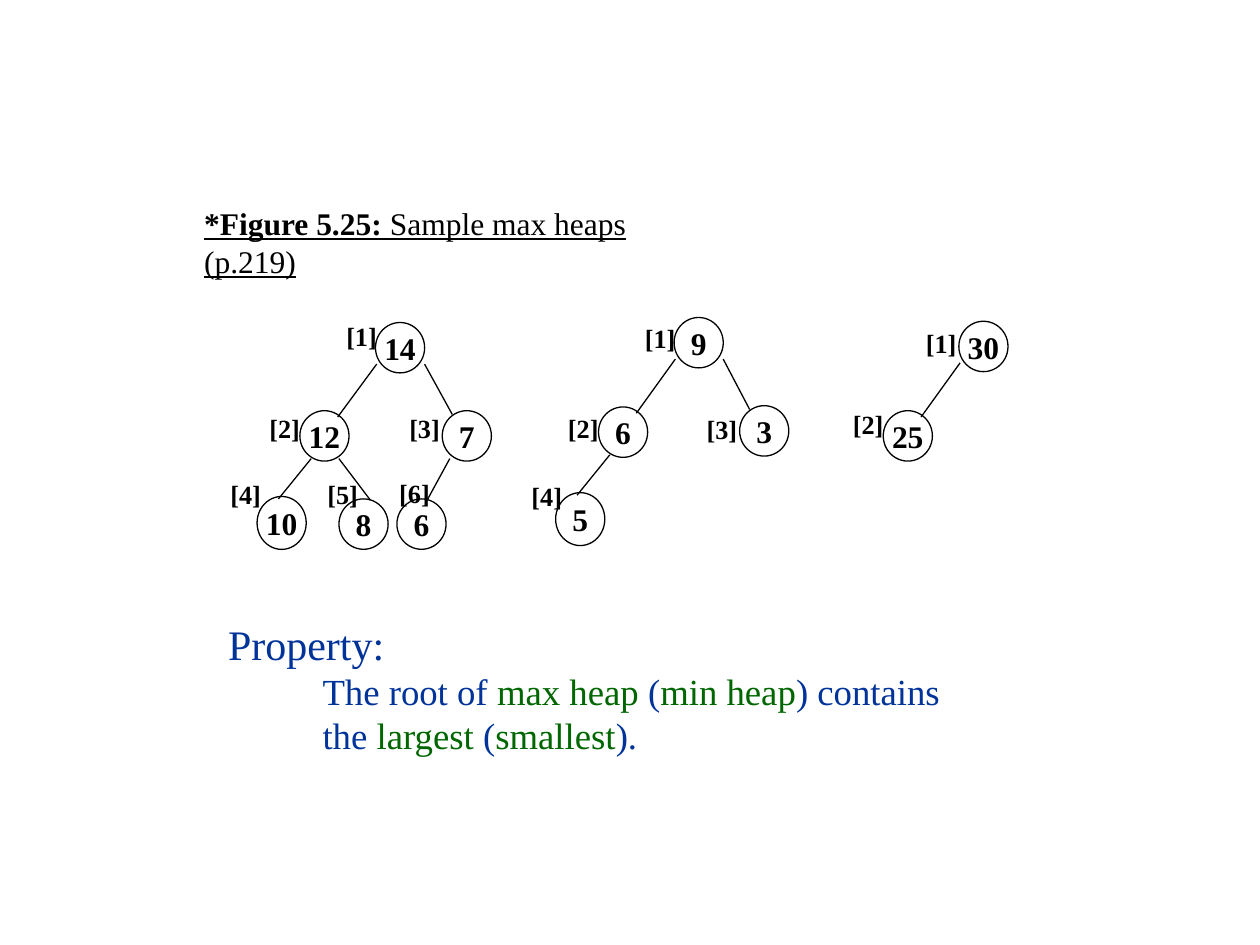
from dataclasses import dataclass

from lxml.etree import SubElement
from pptx import Presentation
from pptx.dml.color import RGBColor
from pptx.enum.shapes import MSO_CONNECTOR, MSO_SHAPE
from pptx.enum.text import MSO_ANCHOR, MSO_AUTO_SIZE, PP_ALIGN
from pptx.oxml.ns import qn
from pptx.util import Inches, Pt

COLOURS = {"ink": "000000", "statement": "003399", "term": "006600"}
NODE_WIDTH, NODE_HEIGHT, LEAF_HEIGHT = 0.39, 0.4, 0.42
LABEL_SIZE = (0.44, 0.35)
NODE_TEXT = {"size": Pt(18), "bold": True}
LABEL_TEXT = {"size": Pt(15), "bold": True}
EDGES = {
    "left": ((0.01, 0.33), (0.3, 0.05)),
    "right": ((0.39, 0.33), (0.08, 0.03)),
    "left leaf": ((0.09, 0.38), (0.17, 0.02)),
    "right leaf": ((0.31, 0.38), (0.25, 0.01)),
    "steep leaf": ((0.06, 0.38), (0.24, 0.01)),
}


@dataclass
class Node:
    """A heap entry, placed from its root, with its label placed from itself."""
    value: str
    index: int
    offset: tuple
    label_offset: tuple
    edge: str = ""


HEAPS = [
    ((2.98, 2.56), [
        Node("14", 1, (0, 0), (-0.33, -0.07)),
        Node("12", 2, (-0.6, 0.7), (-0.34, -0.04), "left"),
        Node("7", 3, (0.53, 0.7), (-0.36, -0.04), "right"),
        Node("10", 4, (-0.94, 1.38), (-0.31, -0.19), "left leaf"),
        Node("8", 5, (-0.29, 1.4), (-0.19, -0.21), "right leaf"),
        Node("6", 6, (0.17, 1.4), (-0.08, -0.22), "steep leaf"),
    ]),
    ((5.35, 2.52), [
        Node("9", 1, (0, 0), (-0.33, -0.01)),
        Node("6", 2, (-0.6, 0.71), (-0.34, -0.01), "left"),
        Node("3", 3, (0.52, 0.7), (-0.36, 0.01), "right"),
        Node("5", 4, (-0.94, 1.39), (-0.29, -0.15), "left leaf"),
    ]),
    ((7.61, 2.55), [
        Node("30", 1, (0, 0), (-0.36, 0)),
        Node("25", 2, (-0.6, 0.71), (-0.34, -0.07), "left"),
    ]),
]

PROPERTY_LINES = [
    (0, 24, [("Property:", "statement")]),
    (0.75, 21, [("The root of ", "statement"), ("max heap", "term"),
                (" (", "statement"), ("min heap", "term"),
                (") contains", "statement")]),
    (0.75, 21, [("the ", "statement"), ("largest", "term"),
                (" (", "statement"), ("smallest", "term"),
                (").", "statement")]),
]


def colour(name):
    """Return the named colour."""
    return RGBColor.from_string(COLOURS[name])


def shift(point, offset):
    """Return a point moved by an offset."""
    return point[0] + offset[0], point[1] + offset[1]


def add_run(paragraph, text, formats, colour_name="ink"):
    """Add a run and apply its font values."""
    run = paragraph.add_run()
    run.text = text
    for name, value in {"name": "Times New Roman", **formats}.items():
        setattr(run.font, name, value)
    run.font.color.rgb = colour(colour_name)


def set_frame(shape, anchor=MSO_ANCHOR.TOP):
    """Give a shape's text an unwrapped frame and return the frame."""
    formats = {"word_wrap": False, "auto_size": MSO_AUTO_SIZE.NONE,
               "vertical_anchor": anchor}
    for name, value in formats.items():
        setattr(shape.text_frame, name, value)
    return shape.text_frame


def place(shape, box):
    """Move a placeholder to a box given in inches."""
    for name, value in zip(("left", "top", "width", "height"), box):
        setattr(shape, name, Inches(value))


def add_node(group, node, position):
    """Draw a circled value and its index label."""
    height = LEAF_HEIGHT if node.edge == "left leaf" else NODE_HEIGHT
    circle = group.shapes.add_shape(
        MSO_SHAPE.OVAL, *map(Inches, (*position, NODE_WIDTH, height)))
    circle.shadow.inherit = False
    circle.fill.background()
    circle.line.color.rgb = colour("ink")
    circle.line.width = Pt(0.75)
    paragraph = set_frame(circle, MSO_ANCHOR.MIDDLE).paragraphs[0]
    paragraph.alignment = PP_ALIGN.CENTER
    add_run(paragraph, node.value, NODE_TEXT)

    corner = shift(position, node.label_offset)
    label = group.shapes.add_textbox(*map(Inches, (*corner, *LABEL_SIZE)))
    add_run(set_frame(label).paragraphs[0], f"[{node.index}]", LABEL_TEXT)


def add_edge(group, parent, child, kind):
    """Join a parent to its child with a plain line."""
    start, end = EDGES[kind]
    ends = (*shift(parent, start), *shift(child, end))
    line = group.shapes.add_connector(MSO_CONNECTOR.STRAIGHT, *map(Inches, ends))
    line.line.color.rgb = colour("ink")
    line.line.width = Pt(0.75)
    SubElement(line._element.spPr, qn("a:effectLst"))


def add_heap(slide, root, nodes):
    """Draw one heap, grouped, from the corner of its root."""
    group = slide.shapes.add_group_shape()
    positions = {node.index: shift(root, node.offset) for node in nodes}
    for node in nodes:
        position = positions[node.index]
        add_node(group, node, position)
        if node.edge:
            add_edge(group, positions[node.index // 2], position, node.edge)


def add_caption(title, box):
    """Write the underlined figure caption in the title."""
    place(title, box)
    paragraph = set_frame(title).paragraphs[0]
    paragraph.alignment = PP_ALIGN.LEFT
    for text, bold in (("*Figure 5.25:", True),
                       (" Sample max heaps (p.219)", False)):
        add_run(paragraph, text,
                {"size": Pt(18), "bold": bold, "underline": True})


def add_property(body, box):
    """Write the heap property in the body, without bullets."""
    place(body, box)
    frame = set_frame(body)
    for number, (indent, size, runs) in enumerate(PROPERTY_LINES):
        paragraph = frame.add_paragraph() if number else frame.paragraphs[0]
        properties = paragraph._p.get_or_add_pPr()
        properties.set("marL", str(Inches(indent)))
        properties.set("indent", "0")
        SubElement(properties, qn("a:buNone"))
        paragraph.space_before = Pt(0)
        for text, colour_name in runs:
            add_run(paragraph, text, {"size": Pt(size)}, colour_name)


def main():
    """Build and save the slide."""
    presentation = Presentation()
    presentation.slide_width = Inches(10)
    presentation.slide_height = Inches(7.5)
    slide = presentation.slides.add_slide(presentation.slide_layouts[1])
    add_caption(slide.shapes.title, (1.52, 1.57, 4.34, 0.4))
    for root, nodes in HEAPS:
        add_heap(slide, root, nodes)
    add_property(slide.placeholders[1], (1.71, 4.86, 5.92, 1.2))
    presentation.save("out.pptx")


if __name__ == "__main__":
    main()
